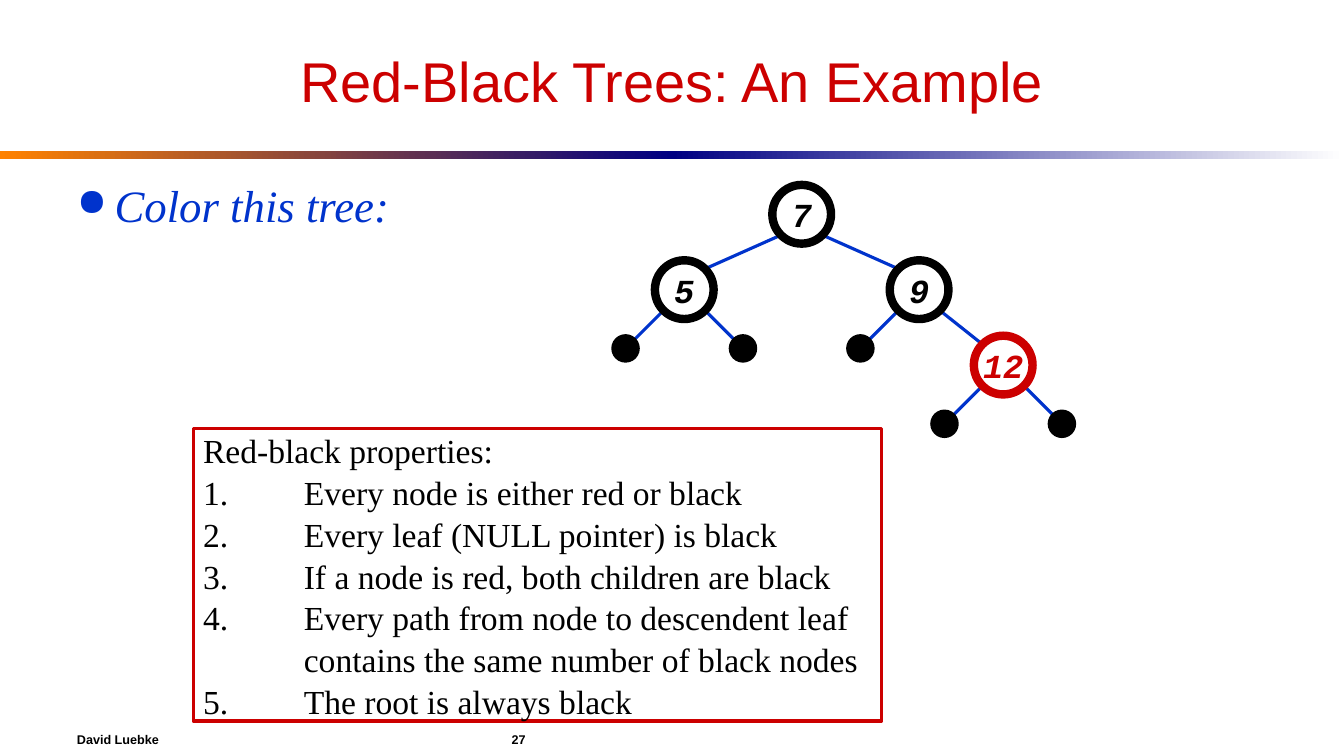
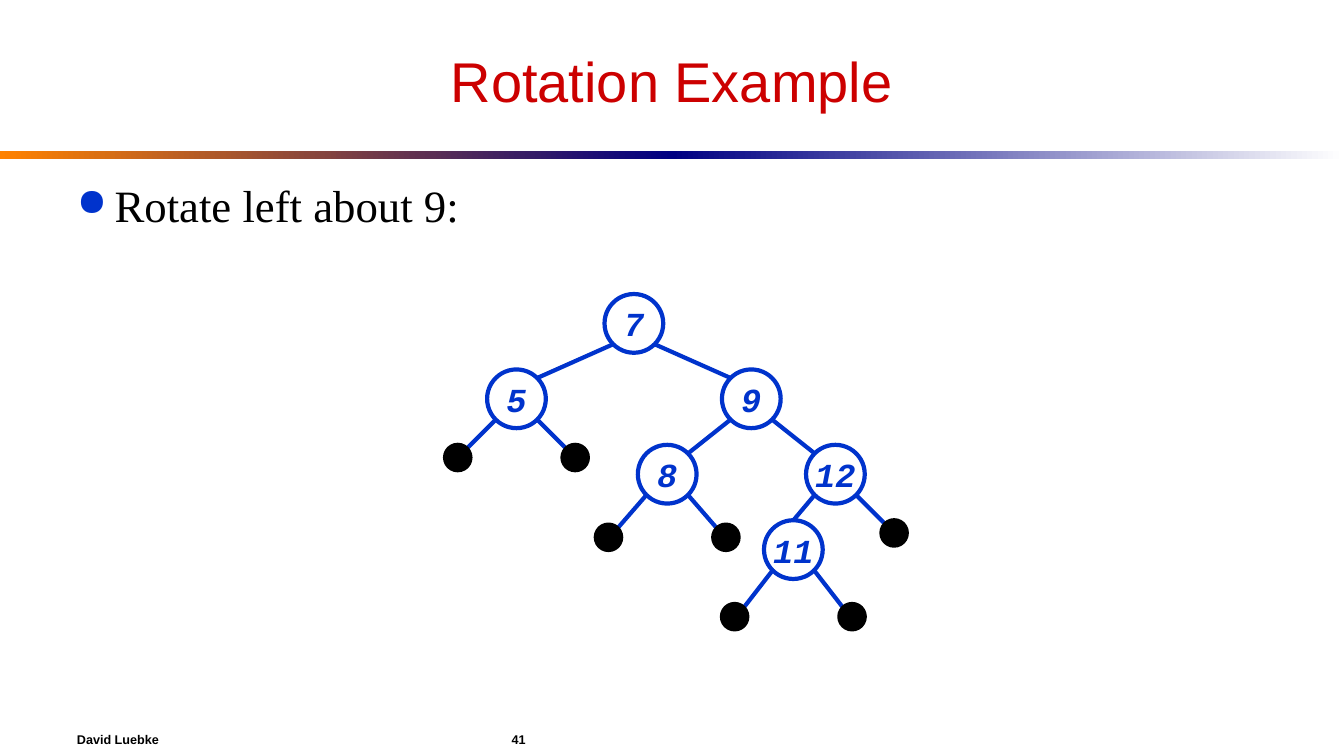
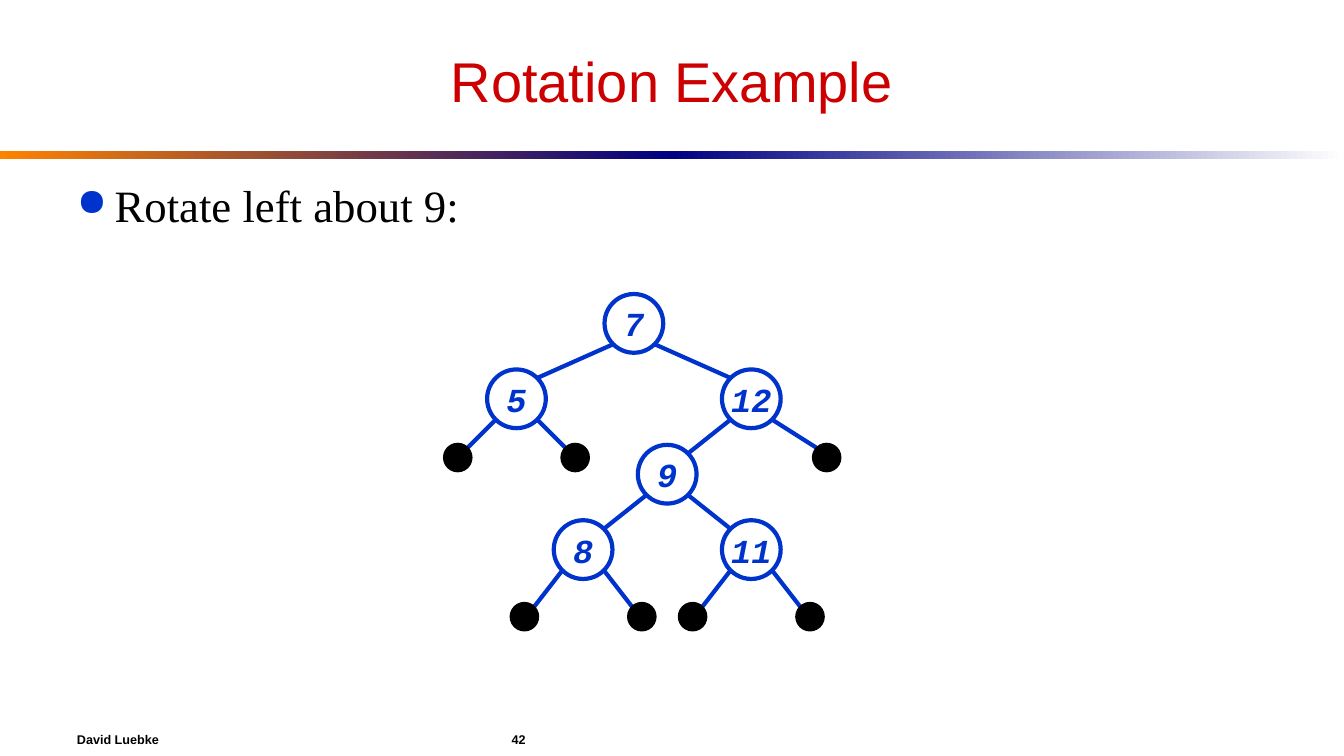
from typing import NamedTuple

from lxml import etree
from pptx import Presentation
from pptx.dml.color import RGBColor
from pptx.enum.shapes import MSO_CONNECTOR, MSO_SHAPE
from pptx.enum.text import MSO_ANCHOR, PP_ALIGN
from pptx.oxml.ns import qn
from pptx.util import Cm, Pt

LINE = MSO_CONNECTOR.STRAIGHT
OVAL, RECT = MSO_SHAPE.OVAL, MSO_SHAPE.RECTANGLE
TOP, MIDDLE = MSO_ANCHOR.TOP, MSO_ANCHOR.MIDDLE
LEFT, CENTER = PP_ALIGN.LEFT, PP_ALIGN.CENTER

COLORS = {
    "red": "CC0000",
    "blue": "0033CC",
    "black": "000000",
    "white": "FFFFFF",
    "orange": "FF8200",
    "navy": "000082",
}
SANS, SERIF, MONO = "Arial", "Times New Roman", "Courier New"
WIDTH, HEIGHT = 33.88, 19.05
MARGIN, CONTENT_WIDTH = 1.69, 30.48
KEY_RADIUS, LEAF_RADIUS = 0.74, 0.32
ROW, WIDE, NARROW, LEAF_STEP = 1.9, 2.96, 2.12, 1.48
DIAGONAL = 0.71


class Node(NamedTuple):
    """A tree node placed relative to its parent; a leaf has no key."""
    key: str = ""
    dx: float = 0
    dy: float = ROW
    children: tuple = ()
    color: str = "blue"

    @property
    def radius(self):
        """Radius of the circle that stands for the node."""
        return KEY_RADIUS if self.key else LEAF_RADIUS


def leaf(dx, dy=LEAF_STEP):
    """Return one leaf below its parent."""
    return Node(dx=dx, dy=dy)


def leaves(dy=LEAF_STEP):
    """Return the pair of leaves below a node."""
    return leaf(-LEAF_STEP, dy), leaf(LEAF_STEP, dy)


class Deck:
    """Holds the shared style and the slide being built."""

    def __init__(self):
        """Open an empty deck of the right size."""
        self.prs = Presentation()
        self.prs.slide_width, self.prs.slide_height = Cm(WIDTH), Cm(HEIGHT)
        self.slide = None

    def rgb(self, name):
        """Return a palette colour."""
        return RGBColor.from_string(COLORS[name])

    def run(self, paragraph, text, font, size, color="black", bold=False, italic=False):
        """Add one styled run."""
        run = paragraph.add_run()
        run.text = text
        run.font.name, run.font.size = font, Pt(size)
        run.font.bold, run.font.italic = bold, italic
        run.font.color.rgb = self.rgb(color)

    def paragraph_mark(self, paragraph, hang, *marks):
        """Give a paragraph a hanging indent and its bullet elements."""
        props = paragraph._p.get_or_add_pPr()
        props.set("marL", str(Cm(hang)))
        props.set("indent", str(-Cm(hang)))
        for tag, attributes in marks:
            etree.SubElement(props, qn(tag), attributes)

    def text_box(self, top, height, anchor=MIDDLE, align=LEFT):
        """Add a full-width text box and return its first paragraph."""
        box = self.slide.shapes.add_textbox(
            Cm(MARGIN), Cm(top), Cm(CONTENT_WIDTH), Cm(height))
        frame = box.text_frame
        frame.word_wrap, frame.vertical_anchor = True, anchor
        paragraph = frame.paragraphs[0]
        paragraph.alignment = align
        return paragraph

    def shape(self, kind, left, top, width, height):
        """Add a preset shape without shadow."""
        shape = self.slide.shapes.add_shape(kind, Cm(left), Cm(top), Cm(width), Cm(height))
        shape.shadow.inherit = False
        return shape

    def band(self, left, start, end):
        """Add half of the gradient band below the title."""
        band = self.shape(RECT, left, 3.81, WIDTH / 2, 0.21)
        band.line.fill.background()
        band.fill.gradient()
        band.fill.gradient_angle = 0
        for stop, color in zip(band.fill.gradient_stops, (start, end)):
            stop.color.rgb = self.rgb(color)

    def footer(self, number):
        """Add the author and the slide number."""
        paragraph = self.text_box(18.2, 0.85)
        tabs = etree.SubElement(paragraph._p.get_or_add_pPr(), qn("a:tabLst"))
        etree.SubElement(tabs, qn("a:tab"), {"pos": str(Cm(10.96)), "algn": "l"})
        for text in ("David Luebke", f"\t{number}"):
            self.run(paragraph, text, SANS, 9, bold=True)

    def new_slide(self, title, number):
        """Start a slide with its bands, footer and title."""
        self.slide = self.prs.slides.add_slide(self.prs.slide_layouts[6])
        self.band(0, "orange", "navy")
        self.band(WIDTH / 2, "navy", "white")
        self.footer(number)
        self.run(self.text_box(0.64, 2.75, align=CENTER), title, SANS, 40, "red")

    def bullet(self, text, color="black", italic=False):
        """Add the bullet point that opens the body."""
        paragraph = self.text_box(4.3, 1.6, TOP)
        color_mark = etree.Element(qn("a:buClr"))
        etree.SubElement(color_mark, qn("a:srgbClr"), {"val": COLORS["blue"]})
        paragraph._p.get_or_add_pPr().append(color_mark)
        self.paragraph_mark(paragraph, 0.95,
                            ("a:buSzPct", {"val": "85000"}), ("a:buChar", {"char": "●"}))
        paragraph.line_spacing = 1.04
        self.run(paragraph, text, SERIF, 32, color, italic=italic)

    def numbered_box(self, heading, items):
        """Add a framed heading with a numbered list."""
        box = self.shape(RECT, 4.87, 10.8, 17.36, 7.37)
        box.fill.background()
        box.line.color.rgb, box.line.width = self.rgb("red"), Pt(2.25)
        frame = box.text_frame
        frame.word_wrap, frame.vertical_anchor = True, MIDDLE
        for index, text in enumerate((heading, *items)):
            paragraph = frame.add_paragraph() if index else frame.paragraphs[0]
            paragraph.alignment, paragraph.line_spacing = LEFT, 1.04
            if index:
                self.paragraph_mark(paragraph, 2.54,
                                    ("a:buFont", {"typeface": SERIF}),
                                    ("a:buAutoNum", {"type": "arabicPeriod"}))
            self.run(paragraph, text, SERIF, 24)

    def circle(self, node, x, y, outline):
        """Draw a node centred on a point."""
        radius = node.radius
        circle = self.shape(OVAL, x - radius, y - radius, 2 * radius, 2 * radius)
        circle.fill.solid()
        circle.fill.fore_color.rgb = self.rgb("white" if node.key else "black")
        circle.line.color.rgb = self.rgb(node.color if node.key else "black")
        circle.line.width = Pt(outline)
        if node.key:
            frame = circle.text_frame
            frame.word_wrap, frame.vertical_anchor = False, MIDDLE
            frame.paragraphs[0].alignment = CENTER
            self.run(frame.paragraphs[0], node.key, MONO, 24, node.color, True, True)

    def edge(self, parent, child, x, y, width):
        """Join a parent to a child, at its top when it lies nearly below."""
        side = 1 if child.dx > 0 else -1
        start = DIAGONAL * parent.radius
        steep = abs(child.dx) < 2 * child.radius
        end_x = 0 if steep else side * DIAGONAL * child.radius
        end_y = child.radius if steep else DIAGONAL * child.radius
        edge = self.slide.shapes.add_connector(
            LINE, Cm(x + side * start), Cm(y + start),
            Cm(x + child.dx - end_x), Cm(y + child.dy - end_y))
        edge.line.color.rgb, edge.line.width = self.rgb("blue"), Pt(width)
        etree.SubElement(edge._element.spPr, qn("a:effectLst"))

    def tree(self, node, x, y, edge_width=3, key_outline=3):
        """Draw a node and everything below it."""
        for child in node.children:
            self.edge(node, child, x, y, edge_width)
            self.tree(child, x + child.dx, y + child.dy, edge_width, key_outline)
        self.circle(node, x, y, key_outline if node.key else edge_width)


def main():
    """Build the three slides."""
    deck = Deck()
    low, lower = 1.59, 1.69

    deck.new_slide("Red-Black Trees: An Example", 27)
    deck.bullet("Color this tree:", "blue", italic=True)
    colored = Node("7", color="black", children=(
        Node("5", -WIDE, color="black", children=leaves()),
        Node("9", WIDE, color="black", children=(
            leaf(-LEAF_STEP),
            Node("12", NARROW, color="red", children=leaves())))))
    deck.tree(colored, 20.21, 5.4, edge_width=2.25, key_outline=6)
    deck.numbered_box("Red-black properties:", (
        "Every node is either red or black",
        "Every leaf (NULL pointer) is black",
        "If a node is red, both children are black",
        "Every path from node to descendent leaf contains the same number of black nodes",
        "The root is always black"))

    five = Node("5", -WIDE, children=leaves())
    before = Node("7", children=(five, Node("9", WIDE, children=(
        Node("8", -NARROW, children=leaves(low)),
        Node("12", NARROW, children=(
            Node("11", -1.06, children=leaves(lower)), leaf(LEAF_STEP)))))))
    after = Node("7", children=(five, Node("12", WIDE, children=(
        Node("9", -NARROW, children=(
            Node("8", -NARROW, children=leaves(lower)),
            Node("11", NARROW, children=leaves(lower)))),
        leaf(ROW)))))
    for number, rotation in ((41, before), (42, after)):
        deck.new_slide("Rotation Example", number)
        deck.bullet("Rotate left about 9:")
        deck.tree(rotation, 15.98, 8.15)

    deck.prs.save("out.pptx")


if __name__ == "__main__":
    main()
